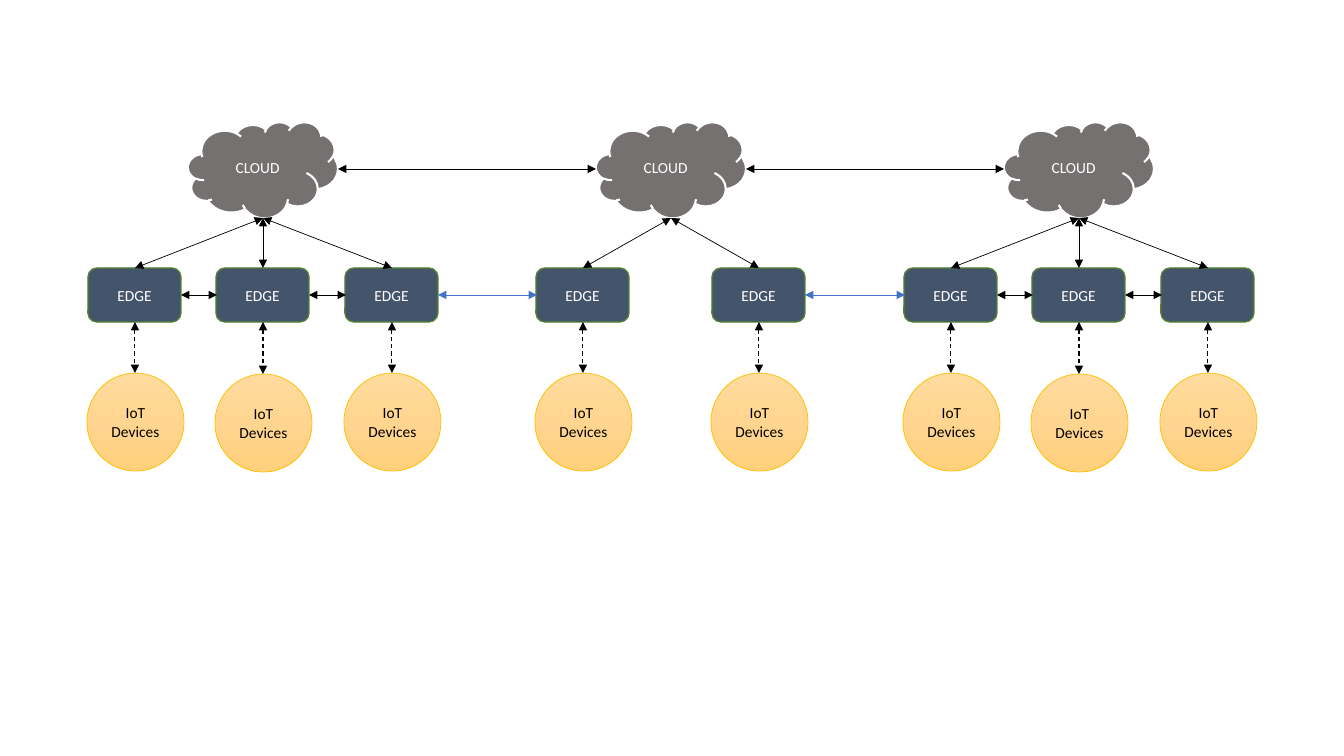
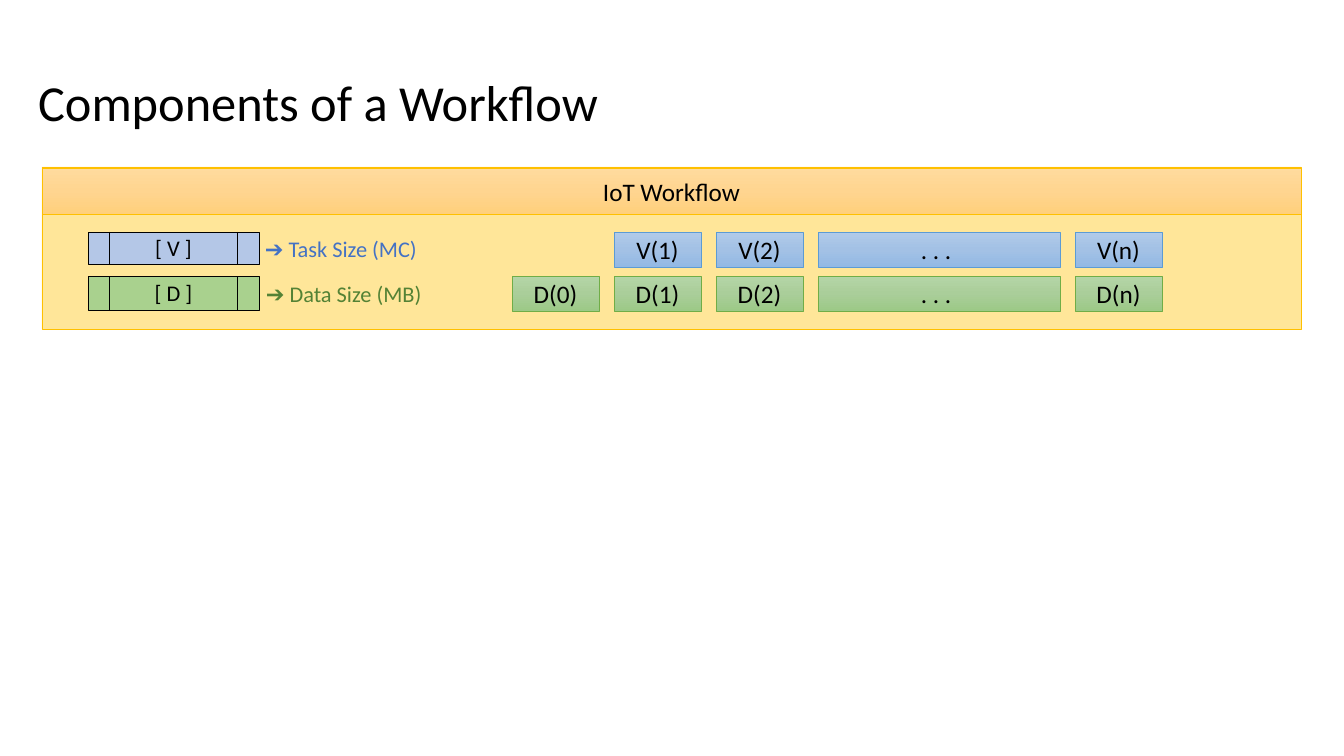
from copy import deepcopy
from dataclasses import dataclass
from itertools import pairwise

from lxml.etree import SubElement
from pptx import Presentation
from pptx.dml.color import RGBColor
from pptx.enum.dml import MSO_LINE
from pptx.enum.shapes import MSO_CONNECTOR, MSO_SHAPE as SHAPE
from pptx.enum.text import MSO_ANCHOR as ANCHOR, MSO_AUTO_SIZE as AUTO_SIZE, PP_ALIGN as ALIGN
from pptx.oxml.ns import qn
from pptx.slide import Slide
from pptx.text.text import TextFrame
from pptx.util import Emu, Pt

# Shared look
EMU_PER_PIXEL = 914400 / 100.8
SLIDE_WIDTH, SLIDE_HEIGHT = 1344, 756
FONT = "Calibri"
TEXT_INSET = 5

BLACK = RGBColor(0x00, 0x00, 0x00)
WHITE = RGBColor(0xFF, 0xFF, 0xFF)
GRAY = RGBColor(0x76, 0x71, 0x71)
SLATE = RGBColor(0x44, 0x54, 0x6A)
BLUE = RGBColor(0x44, 0x72, 0xC4)
SKY = RGBColor(0x5B, 0x9B, 0xD5)
PALE_BLUE = RGBColor(0xB4, 0xC7, 0xE7)
GREEN = RGBColor(0x70, 0xAD, 0x47)
DARK_GREEN = RGBColor(0x53, 0x80, 0x35)
CAPTION_GREEN = RGBColor(0x54, 0x82, 0x35)
PALE_GREEN = RGBColor(0xA9, 0xD1, 0x8E)
GOLD = RGBColor(0xFF, 0xC0, 0x00)
PALE_GOLD = RGBColor(0xFF, 0xE6, 0x99)

Gradient = tuple[RGBColor, RGBColor, RGBColor]
GOLD_GRADIENT: Gradient = (
    RGBColor(0xFF, 0xDB, 0x9E), RGBColor(0xFF, 0xD5, 0x90), RGBColor(0xFF, 0xD0, 0x7C))
GREEN_GRADIENT: Gradient = (
    RGBColor(0xB5, 0xD5, 0xA7), RGBColor(0xAA, 0xCE, 0x9A), RGBColor(0x9C, 0xC9, 0x87))
BLUE_GRADIENT: Gradient = (
    RGBColor(0xB1, 0xCB, 0xE9), RGBColor(0xA3, 0xC1, 0xE5), RGBColor(0x93, 0xB9, 0xE4))


@dataclass(frozen=True)
class Box:
    left: int
    top: int
    width: int
    height: int

    def lengths(self) -> tuple[Emu, Emu, Emu, Emu]:
        return px(self.left), px(self.top), px(self.width), px(self.height)


@dataclass(frozen=True)
class Style:
    kind: SHAPE
    fill: RGBColor | Gradient
    line: RGBColor
    line_width: float = 0.5
    text_size: int = 18
    text_color: RGBColor = BLACK


@dataclass(frozen=True)
class Cluster:
    center: int
    edge_offsets: tuple[int, ...]
    linked_edges: bool

    def edge_centers(self) -> list[int]:
        return [self.center + offset for offset in self.edge_offsets]


@dataclass(frozen=True)
class ComponentRow:
    letter: str
    legend: Box
    legend_fill: RGBColor
    caption: str
    caption_box: Box
    caption_color: RGBColor
    cell_style: Style
    first_column: int


CLOUD = Style(SHAPE.CLOUD, GRAY, WHITE, 1.5, 11, WHITE)
EDGE = Style(SHAPE.FLOWCHART_ALTERNATE_PROCESS, SLATE, DARK_GREEN, 1, 11, WHITE)
DEVICE = Style(SHAPE.OVAL, GOLD_GRADIENT, GOLD, text_size=11)
PANEL = Style(SHAPE.RECTANGLE, PALE_GOLD, GOLD)
HEADER = Style(SHAPE.RECTANGLE, GOLD_GRADIENT, GOLD)
TASK_CELL = Style(SHAPE.RECTANGLE, BLUE_GRADIENT, SKY)
DATA_CELL = Style(SHAPE.RECTANGLE, GREEN_GRADIENT, GREEN)


def px(pixels: int) -> Emu:
    return Emu(round(pixels * EMU_PER_PIXEL))


def write(frame: TextFrame, text: str, size: int, color: RGBColor, align: ALIGN) -> None:
    paragraph = frame.paragraphs[0]
    paragraph.alignment = align
    run = paragraph.add_run()
    run.text = text
    run.font.name = FONT
    run.font.size = Pt(size)
    run.font.color.rgb = color


def add_box(slide: Slide, box: Box, style: Style, text: str = "") -> None:
    shape = slide.shapes.add_shape(style.kind, *box.lengths())
    shape.shadow.inherit = False
    shape.line.color.rgb = style.line
    shape.line.width = Pt(style.line_width)
    if isinstance(style.fill, RGBColor):
        shape.fill.solid()
        shape.fill.fore_color.rgb = style.fill
    else:
        shape.fill.gradient()
        shape.fill.gradient_angle = 270
        stop_list = shape._element.spPr.find(qn("a:gradFill")).find(qn("a:gsLst"))
        stop_list.insert(1, deepcopy(stop_list[0]))
        for index, (stop, color) in enumerate(zip(shape.fill.gradient_stops, style.fill)):
            stop.position = index / 2
            stop.color.rgb = color
    if text:
        frame = shape.text_frame
        frame.word_wrap = True
        frame.vertical_anchor = ANCHOR.MIDDLE
        frame.margin_left = frame.margin_right = px(TEXT_INSET)
        write(frame, text, style.text_size, style.text_color, ALIGN.CENTER)


def add_arrow(slide: Slide, start: tuple[int, int], end: tuple[int, int],
              color: RGBColor = BLACK, dashed: bool = False) -> None:
    points = [px(value) for value in (*start, *end)]
    connector = slide.shapes.add_connector(MSO_CONNECTOR.STRAIGHT, *points)
    connector.line.color.rgb = color
    connector.line.width = Pt(0.75 if dashed else 0.5)
    if dashed:
        connector.line.dash_style = MSO_LINE.DASH
    properties = connector._element.spPr
    outline = properties.find(qn("a:ln"))
    for arrowhead in ("a:headEnd", "a:tailEnd"):
        SubElement(outline, qn(arrowhead), type="triangle")
    SubElement(properties, qn("a:effectLst"))


def add_caption(slide: Slide, box: Box, text: str, color: RGBColor) -> None:
    frame = slide.shapes.add_textbox(*box.lengths()).text_frame
    frame.word_wrap = True
    write(frame, text, 16, color, ALIGN.LEFT)


def set_title(slide: Slide, box: Box, text: str) -> None:
    title = slide.shapes.title
    title.left, title.top, title.width, title.height = box.lengths()
    frame = title.text_frame
    frame.word_wrap = False
    frame.auto_size = AUTO_SIZE.NONE
    frame.vertical_anchor = ANCHOR.TOP
    write(frame, text, 36, BLACK, ALIGN.LEFT)


# Slide 1: clouds, edges and devices
CLOUD_TOP, CLOUD_WIDTH, CLOUD_HEIGHT = 122, 150, 96
EDGE_TOP, EDGE_WIDTH, EDGE_HEIGHT = 268, 93, 54
DEVICE_TOP, DEVICE_WIDTH, DEVICE_HEIGHT = 373, 97, 98
CLOUD_LINK_Y, EDGE_LINK_Y = 169, 295

CLUSTERS = (
    Cluster(263, (-128, 0, 129), True),
    Cluster(671, (-88, 88), False),
    Cluster(1079, (-128, 0, 129), True),
)


def add_link(slide: Slide, left_center: int, right_center: int, width: int, y: int,
             color: RGBColor = BLACK) -> None:
    add_arrow(slide, (left_center + width // 2, y), (right_center - width // 2, y), color)


def add_cluster(slide: Slide, cluster: Cluster) -> None:
    center = cluster.center
    cloud = Box(center - CLOUD_WIDTH // 2, CLOUD_TOP, CLOUD_WIDTH, CLOUD_HEIGHT)
    add_box(slide, cloud, CLOUD, "CLOUD")
    for x in cluster.edge_centers():
        edge = Box(x - 47, EDGE_TOP, EDGE_WIDTH, EDGE_HEIGHT)
        device_top = DEVICE_TOP + (x == center)
        device = Box(x - 48, device_top, DEVICE_WIDTH, DEVICE_HEIGHT)
        add_box(slide, edge, EDGE, "EDGE")
        add_box(slide, device, DEVICE, "IoT Devices")
        add_arrow(slide, (center, CLOUD_TOP + CLOUD_HEIGHT), (x, EDGE_TOP))
        add_arrow(slide, (x, EDGE_TOP + EDGE_HEIGHT), (x, device_top), dashed=True)
    if cluster.linked_edges:
        for left, right in pairwise(cluster.edge_centers()):
            add_link(slide, left, right, EDGE_WIDTH, EDGE_LINK_Y)


def build_architecture(slide: Slide) -> None:
    for cluster in CLUSTERS:
        add_cluster(slide, cluster)
    for left, right in pairwise(CLUSTERS):
        add_link(slide, left.center, right.center, CLOUD_WIDTH, CLOUD_LINK_Y)
        add_link(slide, left.edge_centers()[-1], right.edge_centers()[0],
                 EDGE_WIDTH, EDGE_LINK_Y, BLUE)


# Slide 2: workflow components
CELL_LEFT, CELL_GAP, CELL_HEIGHT = 512, 15, 35
CELL_WIDTH, DOTS_WIDTH = 87, 242
COLUMNS = ("0", "1", "2", "", "n")

ROWS = (
    ComponentRow("V", Box(88, 232, 171, 32), PALE_BLUE, "➔ Task Size (MC)",
                 Box(255, 230, 242, 37), BLUE, TASK_CELL, 1),
    ComponentRow("D", Box(88, 276, 171, 34), PALE_GREEN, "➔ Data Size (MB)",
                 Box(256, 275, 240, 37), CAPTION_GREEN, DATA_CELL, 0),
)


def add_component_row(slide: Slide, row: ComponentRow) -> None:
    legend_style = Style(SHAPE.FLOWCHART_PREDEFINED_PROCESS, row.legend_fill, BLACK, text_size=16)
    add_box(slide, row.legend, legend_style, f"[ {row.letter} ]")
    add_caption(slide, row.caption_box, row.caption, row.caption_color)
    left = CELL_LEFT
    for column, index in enumerate(COLUMNS):
        width = CELL_WIDTH if index else DOTS_WIDTH
        text = f"{row.letter}({index})" if index else ". . . "
        if column >= row.first_column:
            add_box(slide, Box(left, row.legend.top, width, CELL_HEIGHT), row.cell_style, text)
        left += width + CELL_GAP


def build_workflow(slide: Slide) -> None:
    set_title(slide, Box(28, 66, 586, 72), "Components of a Workflow")
    add_box(slide, Box(42, 167, 1259, 162), PANEL)
    add_box(slide, Box(42, 168, 1259, 46), HEADER, "IoT Workflow")
    for row in ROWS:
        add_component_row(slide, row)


def main() -> None:
    presentation = Presentation()
    presentation.slide_width = px(SLIDE_WIDTH)
    presentation.slide_height = px(SLIDE_HEIGHT)
    layouts = presentation.slide_layouts
    build_architecture(presentation.slides.add_slide(layouts.get_by_name("Blank")))
    build_workflow(presentation.slides.add_slide(layouts.get_by_name("Title Only")))
    presentation.save("out.pptx")


main()
